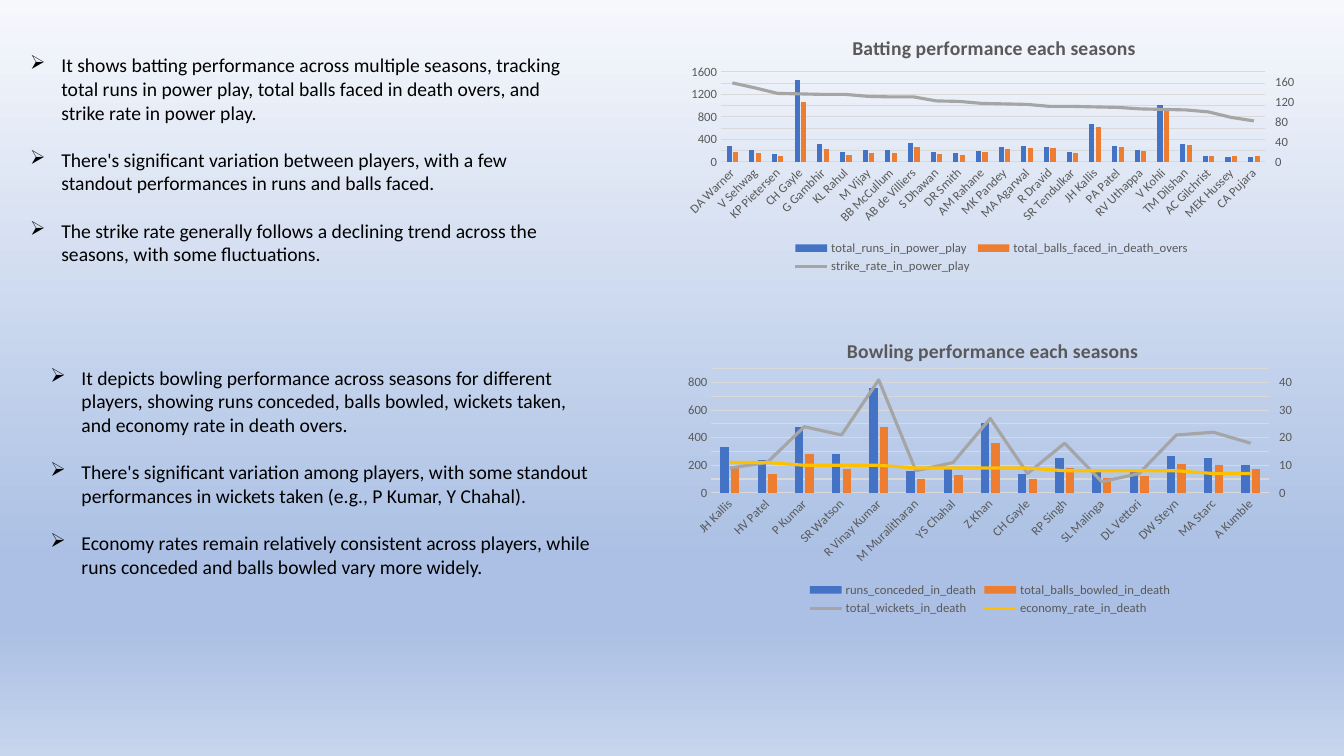
from lxml import etree
from pptx import Presentation
from pptx.chart.data import CategoryChartData
from pptx.dml.color import RGBColor
from pptx.enum.chart import XL_CHART_TYPE as ChartType, XL_LEGEND_POSITION as LegendAt
from pptx.enum.chart import XL_MARKER_STYLE as Marker, XL_TICK_MARK as Tick
from pptx.oxml import parse_xml
from pptx.oxml.ns import nsdecls, qn
from pptx.util import Inches, Pt

GREY, RULE, BLACK = (RGBColor.from_string(c) for c in ("595959", "D9D9D9", "000000"))
BLUE, ORANGE, SILVER, GOLD = (
    RGBColor.from_string(c) for c in ("4472C4", "ED7D31", "A5A5A5", "FFC000"))
SERIES_COLORS = (BLUE, ORANGE, SILVER, GOLD)
BACKDROP = ((0, RGBColor(0xF6, 0xF8, 0xFC)), (74, RGBColor(0xAB, 0xC0, 0xE4)),
            (83, RGBColor(0xAB, 0xC0, 0xE4)), (100, RGBColor(0xC7, 0xD5, 0xED)))
FONT = "Calibri"
SLIDE_SIZE = (Inches(13.33), Inches(7.5))
BAR_COUNT = 2

COMMENTARY = [
    {"box": (1.5, 6.4, 42.61, 33.6), "points": [
        "It shows batting performance across multiple seasons, tracking total runs in power play, "
        "total balls faced in death overs, and strike rate in power play.",
        "There's significant variation between players, with a few standout performances in runs "
        "and balls faced.",
        "The strike rate generally follows a declining trend across the seasons, with some "
        "fluctuations."]},
    {"box": (3, 47.73, 42.16, 36.8), "points": [
        "It depicts bowling performance across seasons for different players, showing runs "
        "conceded, balls bowled, wickets taken, and economy rate in death overs.",
        "There's significant variation among players, with some standout performances in wickets "
        "taken (e.g., P Kumar, Y Chahal).",
        "Economy rates remain relatively consistent across players, while runs conceded and balls "
        "bowled vary more widely."]},
]

PERFORMANCES = [
    {"title": "Batting performance each seasons", "box": (50.26, 1.87, 47.04, 34.93),
     "title_at": (27.4, 6.4), "plot_at": (7.2, 21.9, 86.1, 34.1),
     "left_scale": (1600, 200), "right_scale": (180, 20),
     "players": ["DA Warner", "V Sehwag", "KP Pietersen", "CH Gayle", "G Gambhir", "KL Rahul",
                 "M Vijay", "BB McCullum", "AB de Villiers", "S Dhawan", "DR Smith", "AM Rahane",
                 "MK Pandey", "MA Agarwal", "R Dravid", "SR Tendulkar", "JH Kallis", "PA Patel",
                 "RV Uthappa", "V Kohli", "TM Dilshan", "AC Gilchrist", "MEK Hussey", "CA Pujara"],
     "measures": {
         "total_runs_in_power_play": [290, 220, 140, 1450, 310, 180, 220, 210, 340, 170, 150, 190,
                                      270, 290, 270, 170, 670, 280, 210, 1010, 320, 110, 90, 90],
         "total_balls_faced_in_death_overs": [
             180, 150, 100, 1070, 230, 130, 160, 160, 260, 140, 120, 170,
             230, 250, 240, 150, 620, 260, 190, 960, 300, 110, 100, 110],
         "strike_rate_in_power_play": [158, 148, 137, 136, 135, 135, 131, 130, 130, 122, 121, 117,
                                       116, 115, 111, 111, 110, 109, 106, 105, 104, 100, 89, 82]}},
    {"title": "Bowling performance each seasons", "box": (50.26, 42, 46.81, 40),
     "title_at": (26.7, 5.5), "plot_at": (5.7, 17, 88.7, 41),
     "left_scale": (900, 100), "right_scale": (45, 5),
     "players": ["JH Kallis", "HV Patel", "P Kumar", "SR Watson", "R Vinay Kumar",
                 "M Muralitharan", "YS Chahal", "Z Khan", "CH Gayle", "RP Singh", "SL Malinga",
                 "DL Vettori", "DW Steyn", "MA Starc", "A Kumble"],
     "measures": {
         "runs_conceded_in_death": [330, 240, 480, 280, 760, 160, 190, 510, 140, 250, 150, 160,
                                    270, 250, 200],
         "total_balls_bowled_in_death": [190, 140, 280, 170, 480, 100, 130, 360, 100, 180, 110,
                                         120, 210, 200, 170],
         "total_wickets_in_death": [9, 11, 24, 21, 41, 8, 11, 27, 7, 18, 4, 7, 21, 22, 18],
         "economy_rate_in_death": [11, 11, 10, 10, 10, 9, 9, 9, 9, 8, 8, 8, 8, 7, 7]}},
]


def apply(target, **values):
    for name, value in values.items():
        setattr(target, name, value)


def place(box):
    return [int(SLIDE_SIZE[i % 2] * share / 100) for i, share in enumerate(box)]


def drop(parent, tag):
    for child in parent.findall(qn(tag)):
        parent.remove(child)


def manual_layout(shares, inner=False):
    tags = [("layoutTarget", "inner")] if inner else []
    tags += [("xMode", "edge"), ("yMode", "edge")]
    tags += [(tag, round(share / 100, 3)) for tag, share in zip("xywh", shares)]
    body = "".join(f'<c:{tag} val="{value}"/>' for tag, value in tags)
    return parse_xml(f'<c:layout {nsdecls("c")}><c:manualLayout>{body}</c:manualLayout></c:layout>')


def paint_backdrop(slide):
    fill = slide.background.fill
    fill.gradient()
    fill.gradient_angle = 270
    stops = slide.element.find(".//" + qn("a:gsLst"))
    drop(stops, "a:gs")
    for share, color in BACKDROP:
        stop = etree.SubElement(stops, qn("a:gs"), pos=str(share * 1000))
        etree.SubElement(stop, qn("a:srgbClr"), val=str(color))


def add_commentary(slide, box, points):
    frame = slide.shapes.add_textbox(*place(box)).text_frame
    frame.word_wrap = True
    for i, point in enumerate(points):
        paragraph = frame.paragraphs[0] if i == 0 else frame.add_paragraph()
        paragraph.space_after = Pt(17)
        run = paragraph.add_run()
        run.text = point
        apply(run.font, size=Pt(14), name=FONT)
        run.font.color.rgb = BLACK
        props = paragraph._p.get_or_add_pPr()
        indent = Inches(0.31)
        props.set("marL", str(indent))
        props.set("indent", str(-indent))
        etree.SubElement(props, qn("a:buChar"), char="➢")


def move_lines_right(chart, scale):
    top, unit = scale
    bars = chart._chartSpace.find(".//" + qn("c:barChart"))
    lines = parse_xml(
        f'<c:lineChart {nsdecls("c")}><c:grouping val="standard"/><c:varyColors val="0"/>'
        '<c:marker val="1"/><c:axId val="5001"/><c:axId val="5002"/></c:lineChart>')
    for series in bars.findall(qn("c:ser"))[BAR_COUNT:]:
        drop(series, "c:invertIfNegative")
        lines.find(qn("c:marker")).addprevious(series)
    bars.addnext(lines)
    right_axes = parse_xml(
        f'<c:plotArea {nsdecls("c", "a")}><c:catAx><c:axId val="5001"/>'
        '<c:scaling><c:orientation val="minMax"/></c:scaling><c:delete val="1"/>'
        '<c:axPos val="b"/><c:crossAx val="5002"/><c:crosses val="autoZero"/></c:catAx>'
        '<c:valAx><c:axId val="5002"/><c:scaling><c:orientation val="minMax"/>'
        f'<c:max val="{top}"/><c:min val="0"/></c:scaling><c:delete val="0"/><c:axPos val="r"/>'
        '<c:numFmt formatCode="General" sourceLinked="0"/><c:majorTickMark val="out"/>'
        '<c:minorTickMark val="none"/><c:tickLblPos val="nextTo"/>'
        '<c:spPr><a:ln><a:noFill/></a:ln></c:spPr><c:crossAx val="5001"/>'
        f'<c:crosses val="max"/><c:majorUnit val="{unit}"/></c:valAx></c:plotArea>')
    last_axis = bars.getparent().find(qn("c:valAx"))
    for axis in reversed(list(right_axes)):
        last_axis.addnext(axis)


def add_performance(slide, item):
    data = CategoryChartData()
    data.categories = item["players"]
    for measure, values in item["measures"].items():
        data.add_series(measure, values)
    chart = slide.shapes.add_chart(ChartType.COLUMN_CLUSTERED, *place(item["box"]), data).chart
    apply(chart.font, size=Pt(9), name=FONT)
    chart.font.color.rgb = GREY

    heading = chart.chart_title.text_frame
    heading.text = item["title"]
    font = heading.paragraphs[0].runs[0].font
    apply(font, size=Pt(14), bold=True, name=FONT)
    font.color.rgb = GREY
    title = chart.chart_title._element
    drop(title, "c:layout")
    title.find(qn("c:tx")).addnext(manual_layout(item["title_at"]))

    chart.has_legend = True
    apply(chart.legend, position=LegendAt.BOTTOM, include_in_layout=False)

    top, unit = item["left_scale"]
    players, amounts = chart.category_axis, chart.value_axis
    players.major_tick_mark = Tick.NONE
    apply(amounts, major_tick_mark=Tick.NONE, minimum_scale=0, maximum_scale=top, major_unit=unit)
    for rule in (players.format.line, amounts.major_gridlines.format.line):
        rule.width = Pt(0.75)
        rule.color.rgb = RULE
    amounts.format.line.fill.background()
    apply(players.tick_labels.font, size=Pt(9), name=FONT)
    players.tick_labels.font.color.rgb = GREY
    players._element.find(qn("c:txPr")).find(qn("a:bodyPr")).set("rot", str(-45 * 60000))

    move_lines_right(chart, item["right_scale"])
    bars, lines = chart.plots
    apply(bars, gap_width=219, overlap=-27, vary_by_categories=False)
    for series, color in zip(bars.series, SERIES_COLORS):
        series.format.fill.solid()
        series.format.fill.fore_color.rgb = color
    for series, color in zip(lines.series, SERIES_COLORS[BAR_COUNT:]):
        series.smooth = False
        series.marker.style = Marker.NONE
        series.format.line.width = Pt(2.25)
        series.format.line.color.rgb = color

    area = chart._chartSpace.find(".//" + qn("c:plotArea"))
    drop(area, "c:layout")
    area.insert(0, manual_layout(item["plot_at"], inner=True))


def main():
    """Build the slide with both performance charts and their commentary."""
    deck = Presentation()
    deck.slide_width, deck.slide_height = SLIDE_SIZE
    slide = deck.slides.add_slide(deck.slide_layouts[6])
    paint_backdrop(slide)
    for item in PERFORMANCES:
        add_performance(slide, item)
    for item in COMMENTARY:
        add_commentary(slide, **item)
    deck.save("out.pptx")


if __name__ == "__main__":
    main()
